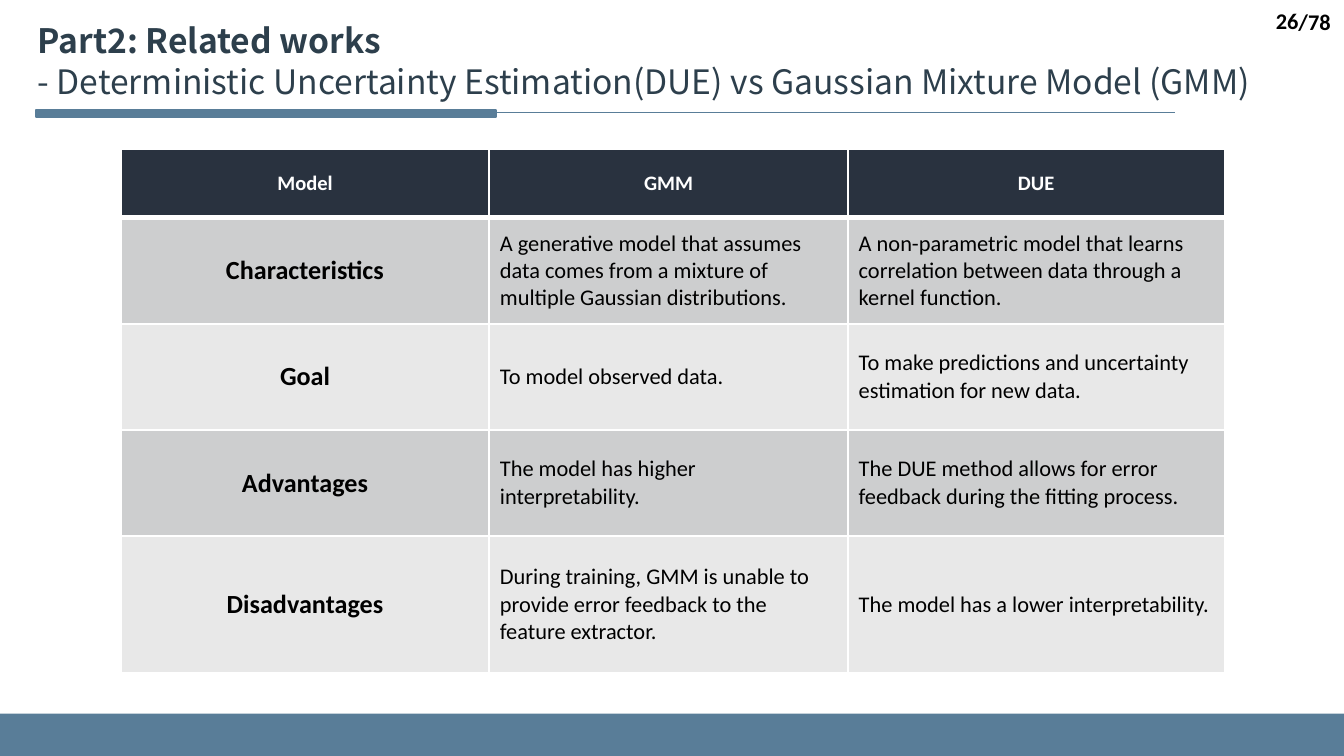
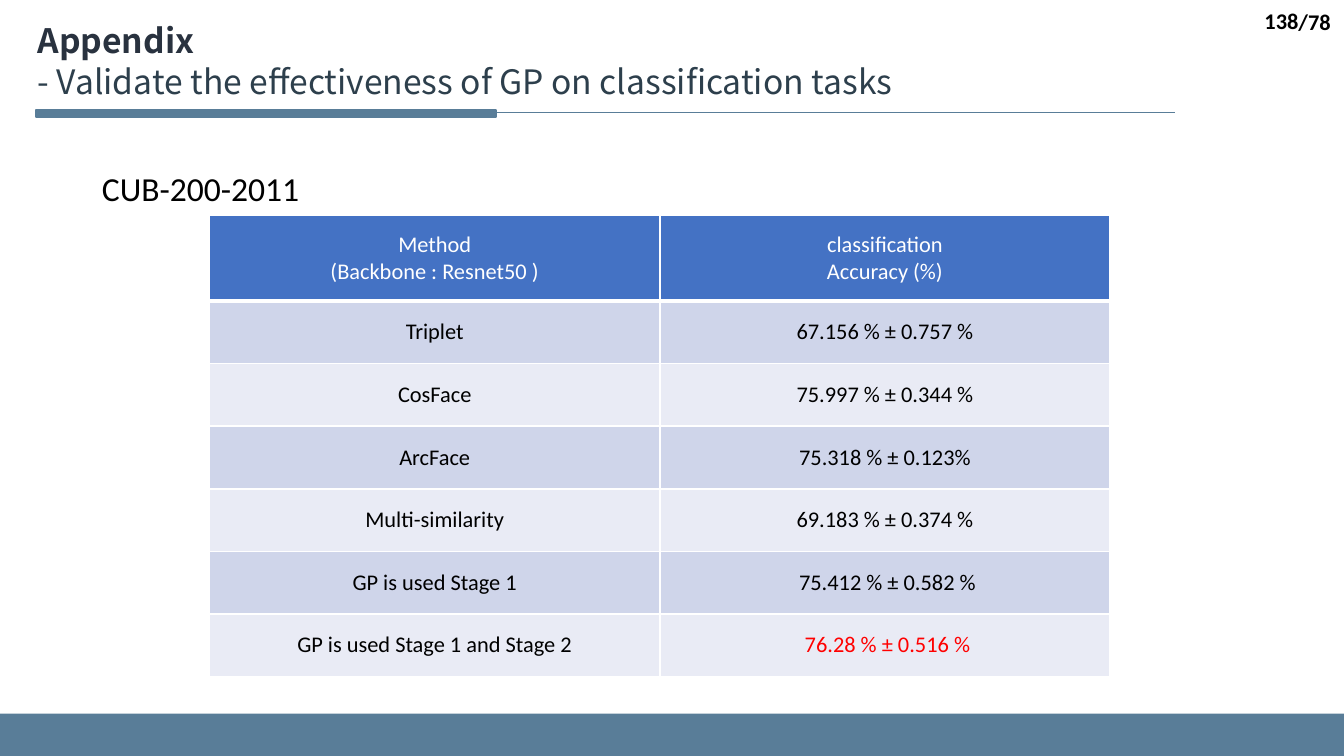
from lxml.etree import SubElement as Sub
from pptx import Presentation
from pptx.dml.color import RGBColor as RGB
from pptx.enum.shapes import MSO_CONNECTOR as Conn, MSO_SHAPE as Shape
from pptx.enum.text import MSO_ANCHOR as Anchor, MSO_AUTO_SIZE as Auto, PP_ALIGN as Align
from pptx.oxml.ns import qn
from pptx.util import Inches, Pt

# Slide grid: square cells, 100 columns across
COLS, ROWS = 100, 56.25
CELL = Inches(0.1)

HUES = {
    "band": "597D98", "title": "2D3F4C", "dark": "29323F",
    "white": "FFFFFF", "black": "000000", "red": "FF0000",
    "gray": "CDCECF", "pale": "E8E8E8",
    "blue": "4472C4", "sky": "CFD5EA", "mist": "E9EBF5",
}
TITLE = {"name": "Noto Sans CJK SC", "size": Pt(18)}
BODY = {"name": "Calibri", "size": Pt(12), "bold": False}
BOLD = BODY | {"bold": True}
LABEL = BOLD | {"size": Pt(14)}
HEAD = BOLD | {"size": Pt(11)}
LARGE = BODY | {"size": Pt(18)}


def hue(name):
    return RGB.from_string(HUES[name])


def cells(*sizes):
    """Turn grid units into lengths."""
    return [int(size * CELL) for size in sizes]


def write(para, text, form, color, align=Align.LEFT):
    para.alignment = align
    run = para.add_run()
    run.text = text
    for key, value in form.items():
        setattr(run.font, key, value)
    run.font.color.rgb = hue(color)


def note(slide, box, text, form, align=Align.LEFT, anchor=Anchor.TOP):
    frame = slide.shapes.add_textbox(*cells(*box)).text_frame
    frame.word_wrap = True
    frame.vertical_anchor = anchor
    write(frame.paragraphs[0], text, form, "black", align)


def block(slide, box):
    shape = slide.shapes.add_shape(Shape.RECTANGLE, *cells(*box))
    shape.shadow.inherit = False
    shape.fill.solid()
    shape.fill.fore_color.rgb = hue("band")
    shape.line.fill.background()
    return shape


def dress(layout, slide):
    """Give the layout its footer band and title rule."""
    for holder in list(layout.placeholders):
        if holder.placeholder_format.idx:
            layout.shapes.element.remove(holder.element)
    foot = block(slide, (0, 53.1, COLS, ROWS - 53.1))
    rule = slide.shapes.add_connector(Conn.STRAIGHT, *cells(87.4, 8.4, 2.7, 8.4))
    Sub(rule.element.spPr, qn("a:effectLst"))
    bar = block(slide, (2.7, 8.2, 34.2, 0.5))
    for part, width in ((rule, 0.5), (bar, 1)):
        part.line.color.rgb = hue("band")
        part.line.width = Pt(width)
    for part in (foot, rule, bar):
        layout.shapes.element.append(part.element)


def title(slide, box, part, topic, color):
    holder = slide.shapes.title
    holder.left, holder.top, holder.width, holder.height = cells(*box)
    frame = holder.text_frame
    frame.word_wrap = False
    frame.auto_size = Auto.SHAPE_TO_FIT_TEXT
    frame.vertical_anchor = Anchor.TOP
    write(frame.paragraphs[0], part, TITLE | {"bold": True}, color)
    write(frame.add_paragraph(), topic, TITLE | {"bold": False}, "title")


def count(slide, page):
    """Page number and total in the top right corner."""
    note(slide, (95.4, 0.1, 4.6, 3), "/78", BOLD, Align.RIGHT, Anchor.MIDDLE)
    note(slide, (77.5, 0, 20.1, 3.1), page, BOLD, Align.RIGHT, Anchor.MIDDLE)


def edge(cell, foot):
    """White cell borders, with the given width below."""
    props = cell._tc.get_or_add_tcPr()
    for side, width in (("L", 1), ("R", 1), ("T", 1), ("B", foot)):
        line = Sub(props, qn("a:ln" + side), w=str(Pt(width)))
        Sub(Sub(line, qn("a:solidFill")), qn("a:srgbClr"), val=HUES["white"])


def grid(slide, box, wide, high, rows, fills, look):
    """Table with a head row and two alternating row fills."""
    table = slide.shapes.add_table(len(rows), len(wide), *cells(*box)).table
    table.horz_banding = False
    for col, width in zip(table.columns, cells(*wide)):
        col.width = width
    for row, height in zip(table.rows, cells(*high)):
        row.height = height
    for r, texts in enumerate(rows):
        fill = fills[0] if r == 0 else fills[2 - r % 2]
        for c, text in enumerate(texts):
            cell = table.cell(r, c)
            form, color, align, pads = look(r, c)
            edge(cell, 1 if r else 3)
            cell.fill.solid()
            cell.fill.fore_color.rgb = hue(fill)
            cell.vertical_anchor = Anchor.MIDDLE
            cell.margin_left = cell.margin_right = Inches(pads[0])
            cell.margin_top = cell.margin_bottom = Inches(pads[1])
            frame = cell.text_frame
            for i, line in enumerate(text.split("\n")):
                para = frame.add_paragraph() if i else frame.paragraphs[0]
                write(para, line, form, color, align)


MODELS = [
    ("Model", "GMM", "DUE"),
    ("Characteristics",
     "A generative model that assumes data comes from a mixture of multiple Gaussian distributions.",
     "A non-parametric model that learns correlation between data through a kernel function."),
    ("Goal", "To model observed data.",
     "To make predictions and uncertainty estimation for new data."),
    ("Advantages", "The model has higher interpretability.",
     "The DUE method allows for error feedback during the fitting process."),
    ("Disadvantages",
     "During training, GMM is unable to provide error feedback to the feature extractor.",
     "The model has a lower interpretability."),
]
SCORES = [
    ("Method\n(Backbone : Resnet50 )", "classification\nAccuracy (%)"),
    ("Triplet", "67.156 % ± 0.757 %"),
    ("CosFace", "75.997 % ± 0.344 %"),
    ("ArcFace", "75.318 % ± 0.123%"),
    ("Multi-similarity", "69.183 % ± 0.374 %"),
    ("GP is used Stage 1", " 75.412 % ± 0.582 %"),
    ("GP is used Stage 1 and Stage 2", " 76.28 % ± 0.516 %"),
]


def related(slide):
    def look(r, c):
        pads = (0.08, 0.04)
        if r == 0:
            return HEAD, "white", Align.CENTER, pads
        if c == 0:
            return LABEL, "black", Align.CENTER, pads
        return BODY, "black", Align.LEFT, pads

    grid(slide, (9, 11.1, 82.1, 39), (27.4, 26.7, 28),
         (5.1, 7.9, 7.9, 7.9, 10.2), MODELS, ("dark", "gray", "pale"), look)
    title(slide, (1.8, 1, 97.6, 7.1), "Part2: Related works",
          "- Deterministic Uncertainty Estimation(DUE) vs Gaussian Mixture Model (GMM)", "title")
    count(slide, "26")


def extra(slide):
    def look(r, c):
        best = r == len(SCORES) - 1 and c == 1
        color = "white" if r == 0 else "red" if best else "black"
        return BODY, color, Align.CENTER, (0.1, 0.05)

    title(slide, (1.8, 1, 69.5, 7.1), "Appendix",
          "- Validate the effectiveness of GP on classification tasks", "dark")
    note(slide, (6.6, 12, 18.1, 4), "CUB-200-2011", LARGE)
    grid(slide, (15.6, 16, 67, 34.4), [33.5] * 2, [6.4] + [4.66] * 6,
         SCORES, ("blue", "sky", "mist"), look)
    count(slide, "138")


def main():
    deck = Presentation()
    deck.slide_width, deck.slide_height = cells(COLS, ROWS)
    layout = deck.slide_layouts[5]
    first, last = [deck.slides.add_slide(layout) for _ in range(2)]
    for slide in (first, last):
        for holder in list(slide.placeholders):
            if holder.placeholder_format.idx:
                slide.shapes.element.remove(holder.element)
    dress(layout, first)
    related(first)
    extra(last)
    deck.save("out.pptx")


if __name__ == "__main__":
    main()
